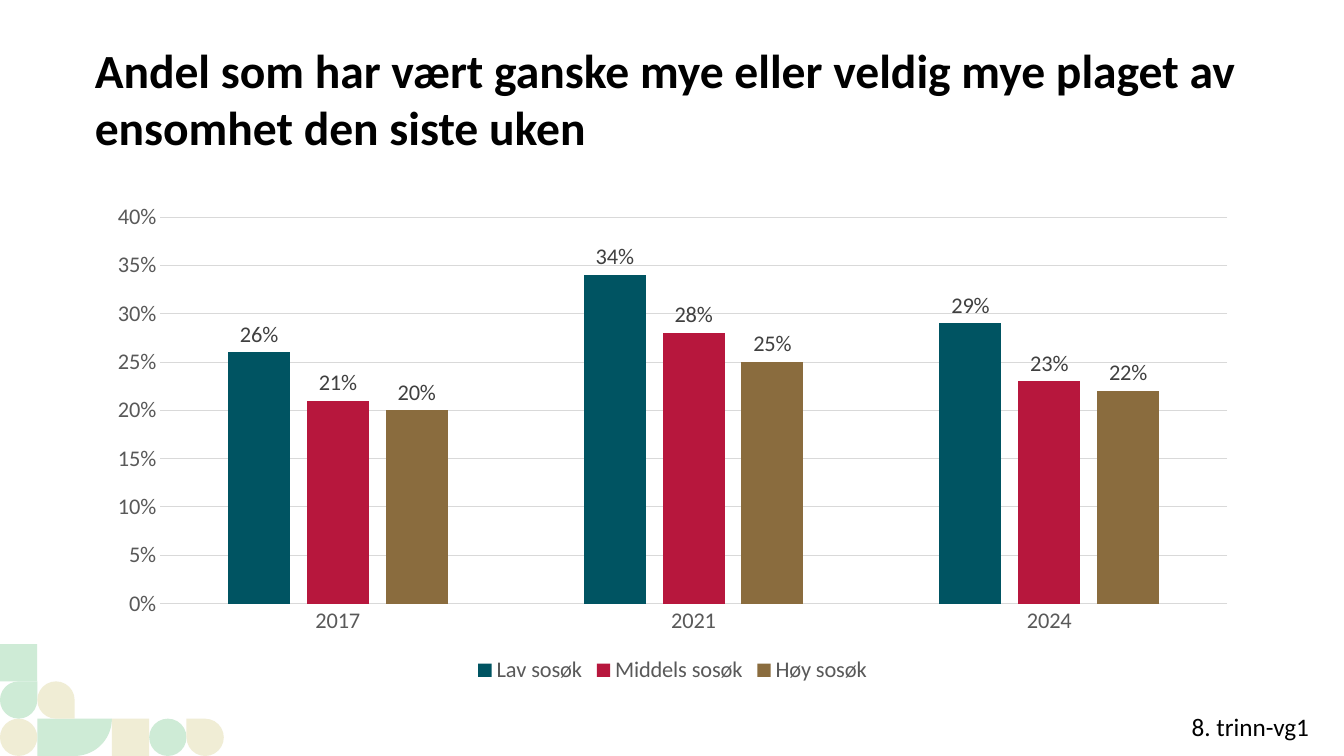
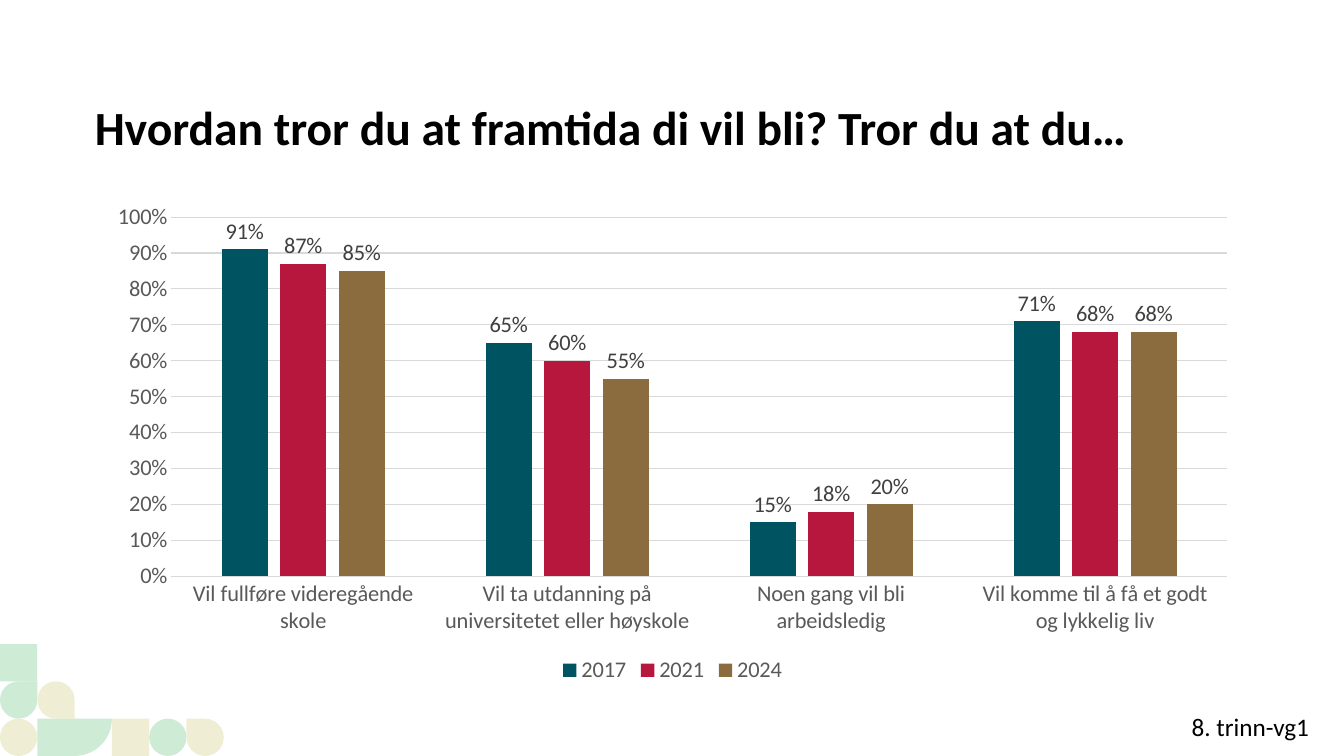
"""Build two slides of clustered column charts about youth survey answers."""
import math
from dataclasses import dataclass

import pptx
import pptx.chart.chart
import pptx.chart.data
import pptx.dml.color
import pptx.dml.fill
import pptx.enum.chart
import pptx.enum.shapes
import pptx.enum.text
import pptx.shapes.group
import pptx.slide
import pptx.text.text
import pptx.util

Inches = pptx.util.Inches
Shape = pptx.enum.shapes.MSO_SHAPE


@dataclass(frozen=True)
class Theme:
    font: str = "Calibri"
    ink: str = "000000"
    axis_text: str = "595959"
    label_text: str = "404040"
    rule: str = "D9D9D9"
    mint: str = "CEEBD6"
    sand: str = "F0EDD5"
    series: tuple[str, ...] = ("005462", "B7173D", "8A6C3E")
    title_size: int = 34
    note_size: int = 18
    chart_size: int = 16
    rule_width: float = 0.75


@dataclass(frozen=True)
class Tile:
    column: int
    row: int
    outline: Shape
    colour: str
    rotation: int = 0


@dataclass(frozen=True)
class ChartPage:
    title: str
    categories: tuple[str, ...]
    series: dict[str, tuple[float, ...]]
    maximum: float
    step: float


THEME = Theme()
WIDTH, HEIGHT = 13.33, 7.5
CELL = 0.37
LEFT, CONTENT_WIDTH = 0.94, 11.46
NOTE = "8. trinn-vg1"

TILES = (
    Tile(3, 1, Shape.RECTANGLE, THEME.sand),
    Tile(0, 1, Shape.OVAL, THEME.sand),
    Tile(4, 1, Shape.OVAL, THEME.mint),
    Tile(0, 3, Shape.RECTANGLE, THEME.mint),
    Tile(0, 2, Shape.TEAR, THEME.mint),
    Tile(1, 2, Shape.TEAR, THEME.sand, 90),
    Tile(5, 1, Shape.TEAR, THEME.sand, 270),
)

PAGES = (
    ChartPage(
        "Andel som har vært ganske mye eller veldig mye plaget av ensomhet den siste uken",
        ("2017", "2021", "2024"),
        {
            "Lav sosøk": (0.26, 0.34, 0.29),
            "Middels sosøk": (0.21, 0.28, 0.23),
            "Høy sosøk": (0.2, 0.25, 0.22),
        },
        0.4,
        0.05,
    ),
    ChartPage(
        "Hvordan tror du at framtida di vil bli? Tror du at du…",
        (
            "Vil fullføre videregående skole",
            "Vil ta utdanning på universitetet eller høyskole",
            "Noen gang vil bli arbeidsledig",
            "Vil komme til å få et godt og lykkelig liv",
        ),
        {
            "2017": (0.91, 0.65, 0.15, 0.71),
            "2021": (0.87, 0.6, 0.18, 0.68),
            "2024": (0.85, 0.55, 0.2, 0.68),
        },
        1.0,
        0.1,
    ),
)


def paint(fill: pptx.dml.fill.FillFormat, colour: str) -> None:
    """Give a fill one solid colour."""
    fill.solid()
    fill.fore_color.rgb = pptx.dml.color.RGBColor.from_string(colour)


def style_font(font: pptx.text.text.Font, size: int, colour: str, bold: bool = False) -> None:
    """Set typeface, size, colour and weight."""
    font.name = THEME.font
    font.size = pptx.util.Pt(size)
    font.bold = bold
    font.color.rgb = pptx.dml.color.RGBColor.from_string(colour)


def draw_quarter_round(group: pptx.shapes.group.GroupShape) -> None:
    """Draw the two-cell tile whose lower right corner is a quarter circle."""
    top = HEIGHT - CELL
    angles = [math.radians(degree) for degree in range(0, 91, 5)]
    arc = [
        (Inches(CELL * (2 + math.cos(angle))), Inches(top + CELL * math.sin(angle)))
        for angle in angles
    ]
    builder = group.shapes.build_freeform(Inches(CELL), Inches(top))
    builder.add_line_segments([*arc, (Inches(CELL), Inches(HEIGHT))])
    shape = builder.convert_to_shape()
    shape.shadow.inherit = False
    shape.line.fill.background()
    paint(shape.fill, THEME.mint)


def draw_tile(group: pptx.shapes.group.GroupShape, tile: Tile) -> None:
    """Draw one tile on the grid that starts in the lower left corner."""
    shape = group.shapes.add_shape(
        tile.outline,
        Inches(tile.column * CELL),
        Inches(HEIGHT - tile.row * CELL),
        Inches(CELL),
        Inches(CELL),
    )
    shape.rotation = tile.rotation
    shape.shadow.inherit = False
    shape.line.fill.background()
    paint(shape.fill, tile.colour)


def decorate_layout(page: pptx.slide.Slide) -> None:
    """Draw the corner tiles and move them to the layout of the page."""
    layout = page.slide_layout
    for holder in list(layout.placeholders):
        if holder.placeholder_format.type != pptx.enum.shapes.PP_PLACEHOLDER.TITLE:
            layout.shapes.element.remove(holder.element)
    group = page.shapes.add_group_shape()
    draw_quarter_round(group)
    for tile in TILES:
        draw_tile(group, tile)
    layout.shapes.element.append(group.element)


def set_title(page: pptx.slide.Slide, text: str) -> None:
    """Place and format the title so that it grows upwards."""
    title = page.shapes.title
    title.left, title.top = Inches(LEFT), Inches(0.97)
    title.width, title.height = Inches(CONTENT_WIDTH), Inches(0.57)
    frame = title.text_frame
    frame.text = text
    frame.word_wrap = True
    frame.auto_size = pptx.enum.text.MSO_AUTO_SIZE.NONE
    frame.vertical_anchor = pptx.enum.text.MSO_ANCHOR.BOTTOM
    frame.margin_left = frame.margin_right = frame.margin_top = frame.margin_bottom = 0
    para = frame.paragraphs[0]
    para.alignment = pptx.enum.text.PP_ALIGN.LEFT
    style_font(para.runs[0].font, THEME.title_size, THEME.ink, bold=True)


def add_note(page: pptx.slide.Slide) -> None:
    """Add the note on school years in the lower right corner."""
    box = page.shapes.add_textbox(Inches(11.72), Inches(7.01), Inches(1.46), Inches(0.4))
    box.text_frame.text = NOTE
    box.text_frame.auto_size = pptx.enum.text.MSO_AUTO_SIZE.SHAPE_TO_FIT_TEXT
    style_font(box.text_frame.paragraphs[0].runs[0].font, THEME.note_size, THEME.ink)


def style_axes(chart: pptx.chart.chart.Chart, content: ChartPage) -> None:
    """Format both axes and the gridlines."""
    categories, values = chart.category_axis, chart.value_axis
    for axis in (categories, values):
        axis.major_tick_mark = axis.minor_tick_mark = pptx.enum.chart.XL_TICK_MARK.NONE
        style_font(axis.tick_labels.font, THEME.chart_size, THEME.axis_text)
    values.minimum_scale = 0
    values.maximum_scale = content.maximum
    values.major_unit = content.step
    values.tick_labels.number_format = "0%"
    values.tick_labels.number_format_is_linked = False
    values.format.line.fill.background()
    for line in (categories.format.line, values.major_gridlines.format.line):
        paint(line.fill, THEME.rule)
        line.width = pptx.util.Pt(THEME.rule_width)


def add_columns(page: pptx.slide.Slide, content: ChartPage) -> None:
    """Add the clustered column chart."""
    data = pptx.chart.data.CategoryChartData(number_format="0%")
    data.categories = content.categories
    for name, values in content.series.items():
        data.add_series(name, values)
    chart = page.shapes.add_chart(
        pptx.enum.chart.XL_CHART_TYPE.COLUMN_CLUSTERED,
        Inches(LEFT),
        Inches(1.92),
        Inches(CONTENT_WIDTH),
        Inches(4.91),
        data,
    ).chart
    chart.has_title = False
    style_font(chart.font, THEME.chart_size, THEME.ink)
    style_axes(chart, content)
    chart.has_legend = True
    chart.legend.position = pptx.enum.chart.XL_LEGEND_POSITION.BOTTOM
    chart.legend.include_in_layout = False
    style_font(chart.legend.font, THEME.chart_size, THEME.axis_text)
    plot = chart.plots[0]
    plot.vary_by_categories = False
    plot.gap_width, plot.overlap = 219, -27
    for series, colour in zip(plot.series, THEME.series):
        paint(series.format.fill, colour)
        labels = series.data_labels
        labels.show_value = True
        labels.position = pptx.enum.chart.XL_LABEL_POSITION.OUTSIDE_END
        labels.number_format = "0%"
        labels.number_format_is_linked = False
        style_font(labels.font, THEME.chart_size, THEME.label_text)


def main() -> None:
    """Build the deck and save it."""
    deck = pptx.Presentation()
    deck.slide_width, deck.slide_height = Inches(WIDTH), Inches(HEIGHT)
    layout = deck.slide_layouts.get_by_name("Title Only")
    for index, content in enumerate(PAGES):
        page = deck.slides.add_slide(layout)
        if index == 0:
            decorate_layout(page)
        set_title(page, content.title)
        add_columns(page, content)
        add_note(page)
    deck.save("out.pptx")


if __name__ == "__main__":
    main()
